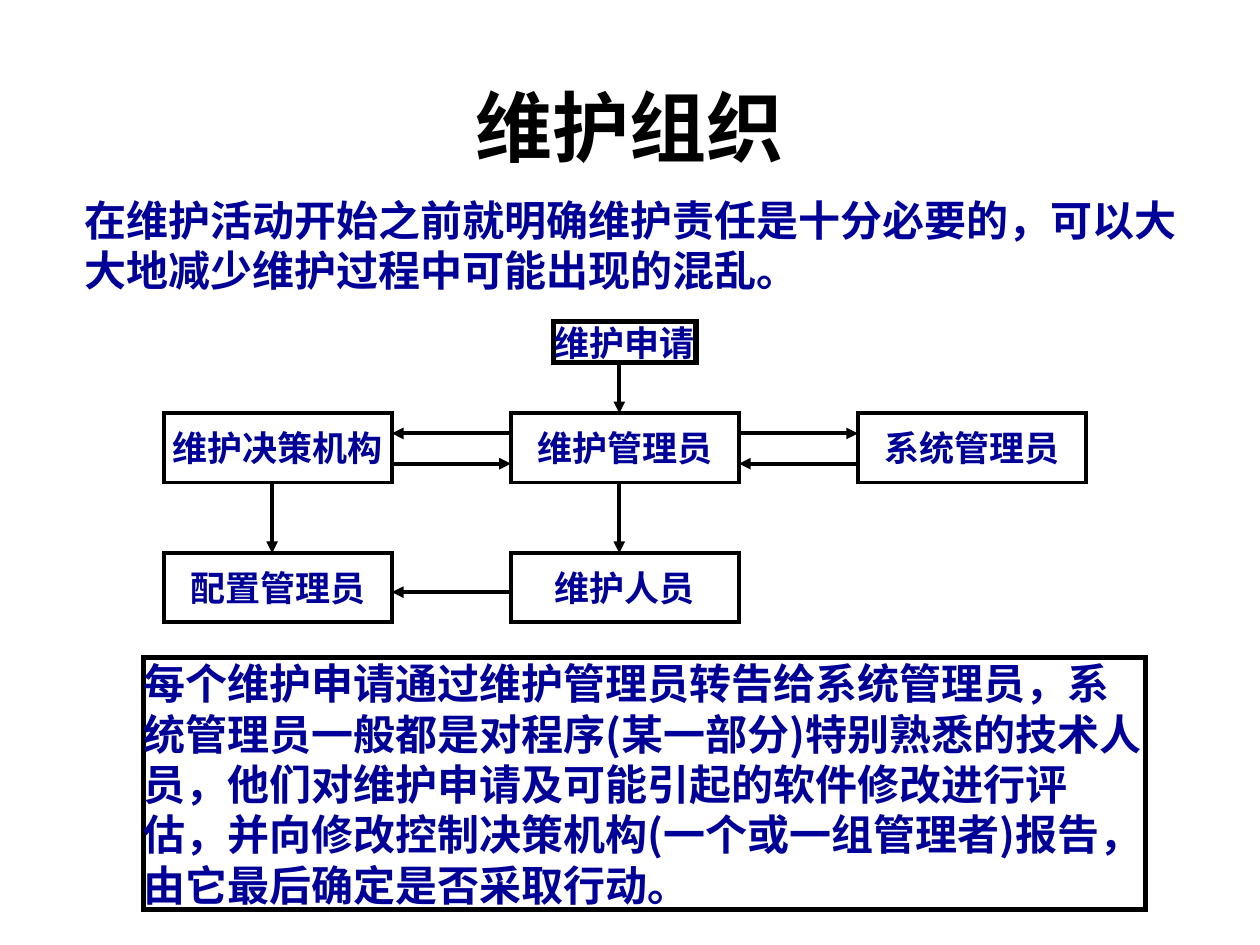
from lxml import etree
from pptx import Presentation
from pptx.dml.color import RGBColor
from pptx.enum import shapes, text
from pptx.oxml.ns import qn
from pptx.util import Inches, Pt

BLACK, NAVY = "000000", "000099"
SERIF, SANS = "Times New Roman", "Noto Sans CJK SC"
BOX_WIDTH, BOX_HEIGHT = 1.81, 0.55
STEM = 0.86  # offset of the vertical arrows from a box's left side
CENTER, LEFT = text.PP_ALIGN.CENTER, text.PP_ALIGN.LEFT


def color(hex_value):
    return RGBColor.from_string(hex_value)


def write(shape, words, size, align=CENTER, font=SERIF, font_color=NAVY, **frame_format):
    """Fill a shape with one bold paragraph; frame_format overrides the frame defaults."""
    frame = shape.text_frame
    defaults = {
        "margin_left": 0, "margin_right": 0, "margin_top": 0, "margin_bottom": 0,
        "word_wrap": True, "vertical_anchor": text.MSO_ANCHOR.MIDDLE,
        "auto_size": text.MSO_AUTO_SIZE.NONE,
    }
    for name, value in {**defaults, **frame_format}.items():
        setattr(frame, name, value)
    paragraph = frame.paragraphs[0]
    paragraph.alignment = align
    # Keep punctuation inside the text area
    paragraph._p.get_or_add_pPr().set("hangingPunct", "0")
    run = paragraph.add_run()
    run.text = words
    for name, value in {"name": font, "size": Pt(size), "bold": True}.items():
        setattr(run.font, name, value)
    run.font.color.rgb = color(font_color)


def add_text(slide, box, words, size, **formats):
    shape = slide.shapes.add_textbox(*map(Inches, box))
    write(shape, words, size, **formats)


def add_box(slide, box, words, size=20, line_width=2.25, **formats):
    shape = slide.shapes.add_shape(shapes.MSO_SHAPE.RECTANGLE, *map(Inches, box))
    shape.shadow.inherit = False
    shape.fill.background()
    shape.line.color.rgb = color(BLACK)
    shape.line.width = Pt(line_width)
    # Square corners
    etree.SubElement(shape.line._get_or_add_ln(), qn("a:miter"), lim="800000")
    write(shape, words, size, **formats)


def add_arrow(slide, start, end):
    connector = slide.shapes.add_connector(
        shapes.MSO_CONNECTOR.STRAIGHT, *map(Inches, (*start, *end)))
    connector.line.color.rgb = color(BLACK)
    connector.line.width = Pt(2.25)
    etree.SubElement(connector.line._get_or_add_ln(), qn("a:tailEnd"), type="triangle")
    etree.SubElement(connector._element.spPr, qn("a:effectLst"))


def add_heading(slide, box):
    left, top, width, height = box
    add_text(slide, (left + 0.08, top, 8.5, 1.25), "维护组织", 44, font_color=BLACK,
             margin_left=Inches(0.1), margin_right=Inches(0.1),
             margin_top=Inches(0.05), margin_bottom=Inches(0.05))
    add_text(slide, (left, top + 1.17, width, height - 1.17),
             "在维护活动开始之前就明确维护责任是十分必要的，可以大大地减少维护过程中可能出现的混乱。",
             24, align=LEFT, auto_size=text.MSO_AUTO_SIZE.SHAPE_TO_FIT_TEXT)


def add_organisation(slide, box):
    left, top, width, height = box
    step = (width - BOX_WIDTH) / 2
    columns = [left + step * index for index in range(3)]
    rows = [top + 0.73, top + height - BOX_HEIGHT]

    # Roles by column and row
    roles = {
        (0, 0): "维护决策机构", (1, 0): "维护管理员", (2, 0): "系统管理员",
        (0, 1): "配置管理员", (1, 1): "维护人员",
    }
    for (column, row), role in roles.items():
        add_box(slide, (columns[column], rows[row], BOX_WIDTH, BOX_HEIGHT), role,
                word_wrap=False)

    # Request that starts the process, just wide enough for one line
    request_height = 0.33
    add_box(slide, (columns[1] + 0.34, top, 1.13, request_height), "维护申请",
            line_width=3, word_wrap=False)

    # Downward arrows
    drops = [(1, top + request_height, rows[0])]
    drops += [(column, rows[0] + BOX_HEIGHT, rows[1]) for column in (0, 1)]
    for column, start, end in drops:
        x = columns[column] + STEM
        add_arrow(slide, (x, start), (x, end))

    # Sideways arrows: from column, to column, height
    upper, lower = rows[0] + 0.16, rows[0] + 0.4
    links = [(1, 0, upper), (0, 1, lower), (1, 2, upper), (2, 1, lower),
             (1, 0, rows[1] + 0.31)]
    for source, target, y in links:
        start, end = columns[source], columns[target]
        if source < target:
            start += BOX_WIDTH
        else:
            end += BOX_WIDTH
        add_arrow(slide, (start, y), (end, y))


def add_explanation(slide, box):
    add_box(slide, box,
            "每个维护申请通过维护管理员转告给系统管理员，系统管理员一般都是对程序(某一部分)"
            "特别熟悉的技术人员，他们对维护申请及可能引起的软件修改进行评估，并向修改控制决策机构"
            "(一个或一组管理者)报告，由它最后确定是否采取行动。",
            size=24, line_width=3, align=LEFT, font=SANS,
            vertical_anchor=text.MSO_ANCHOR.TOP,
            auto_size=text.MSO_AUTO_SIZE.SHAPE_TO_FIT_TEXT)


def main():
    presentation = Presentation()
    presentation.slide_width, presentation.slide_height = Inches(10), Inches(7.5)
    slide = presentation.slides.add_slide(presentation.slide_layouts[6])
    add_heading(slide, (0.67, 0.37, 8.82, 1.97))
    add_organisation(slide, (1.3, 2.55, 7.32, 2.39))
    add_explanation(slide, (1.14, 5.22, 7.95, 2))
    presentation.save("out.pptx")


if __name__ == "__main__":
    main()
